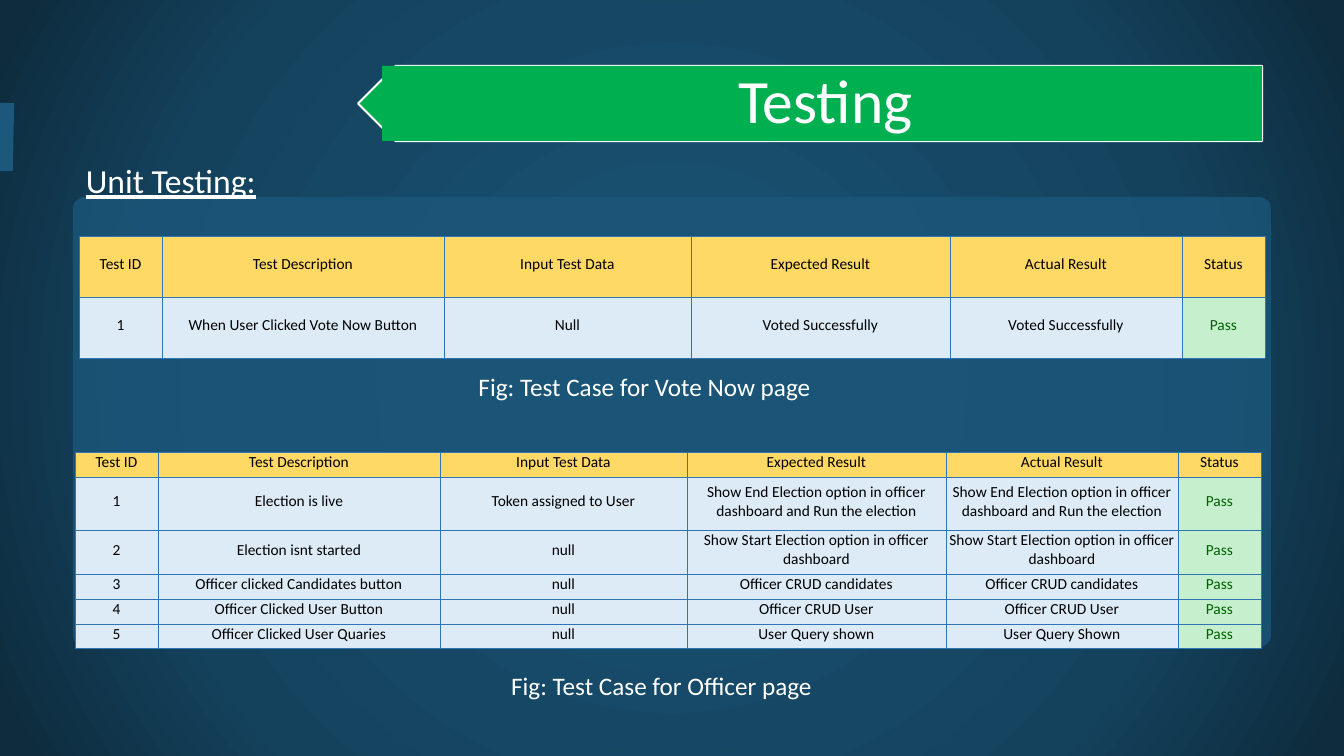
from lxml import etree
from pptx import Presentation, util as u
from pptx.dml.color import RGBColor
from pptx.enum import shapes, text
from pptx.oxml import parse_xml
from pptx.oxml.ns import nsdecls, qn

PX = 914400 / 100.8
WHITE = RGBColor(0xFF, 0xFF, 0xFF)
BLACK = RGBColor(0x00, 0x00, 0x00)
PANEL_BLUE = RGBColor(0x1B, 0x58, 0x7C)
BANNER_GREEN = RGBColor(0x00, 0xB0, 0x50)
HEADER_YELLOW = RGBColor(0xFF, 0xD9, 0x66)
CELL_BLUE = RGBColor(0xDD, 0xEB, 0xF7)
PASS_FILL = RGBColor(0xC6, 0xEF, 0xCE)
PASS_TEXT = RGBColor(0x00, 0x61, 0x00)
BORDER_BLUE = RGBColor(0x2F, 0x75, 0xB5)


def px(*lengths):
    return [u.Emu(round(length * PX)) for length in lengths]


def write(text_frame, words, size, color, align=text.PP_ALIGN.CENTER, underline=None):
    text_frame.text = words
    paragraph = text_frame.paragraphs[0]
    paragraph.alignment = align
    font = paragraph.runs[0].font
    font.name, font.size, font.underline = "Calibri", u.Pt(size), underline
    font.color.rgb = color
    return paragraph


presentation = Presentation()
presentation.slide_width, presentation.slide_height = px(1344, 756)
slide = presentation.slides.add_slide(presentation.slide_layouts[6])

# Background: radial gradient
slide.background.fill.solid()
background = slide._element.find(".//" + qn("p:bgPr"))
stops = "".join(
    f'<a:gs pos="{position}000"><a:srgbClr val="{color}"/></a:gs>'
    for position, color in [(0, "184E6E"), (23, "184E6E"), (69, "14425D"), (97, "0E2C3E")])
background.replace(background[0], parse_xml(
    f'<a:gradFill {nsdecls("a")} rotWithShape="1"><a:gsLst>{stops}</a:gsLst>'
    '<a:path path="circle"><a:fillToRect l="50000" t="50000" r="50000" b="50000"/></a:path>'
    '</a:gradFill>'))

# Translucent panel
panel = slide.shapes.add_shape(shapes.MSO_SHAPE.ROUNDED_RECTANGLE, *px(73, 197, 1198, 450))
panel.adjustments[0] = 0.026
panel.shadow.inherit = False
panel.fill.solid()
panel.fill.fore_color.rgb = PANEL_BLUE
panel.line.fill.background()
panel_color = panel._element.spPr.find(".//" + qn("a:srgbClr"))
etree.SubElement(panel_color, qn("a:alpha")).set("val", "76000")

# Accent mark on the left edge
accent = slide.shapes.add_connector(shapes.MSO_CONNECTOR.STRAIGHT, *px(6, 164, 7, 110))
accent.line.color.rgb = PANEL_BLUE
accent.line.width = u.Pt(10)
accent.line._ln.set("cap", "sq")
etree.SubElement(accent._element.spPr, qn("a:effectLst"))

# Title banner
banner = slide.shapes.add_group_shape()
arrow = banner.shapes.add_shape(shapes.MSO_SHAPE.PENTAGON, *px(358, 66, 904, 75))
arrow.rotation = 180
arrow.line.color.rgb = WHITE
arrow.line.width = u.Pt(1.5)
title = banner.shapes.add_shape(shapes.MSO_SHAPE.RECTANGLE, *px(382, 66, 880, 75))
title.line.fill.background()
for shape in (arrow, title):
    shape.shadow.inherit = False
    shape.fill.solid()
    shape.fill.fore_color.rgb = BANNER_GREEN
frame = title.text_frame
frame.margin_left, frame.margin_top, frame.margin_right, frame.margin_bottom = px(27, 11, 20, 11)
frame.vertical_anchor = text.MSO_ANCHOR.MIDDLE
write(frame, "Testing", 44, WHITE).line_spacing = 0.9

# Heading and captions
LEFT, CENTER = text.PP_ALIGN.LEFT, text.PP_ALIGN.CENTER
for words, box, size, align, underline in [
    ("Unit Testing:", (76, 155, 641, 50), 24, LEFT, True),
    ("Fig: Test Case for Vote Now page", (387, 366, 515, 40), 18, CENTER, None),
    ("Fig: Test Case for Officer page", (404, 665, 515, 40), 18, CENTER, None),
]:
    label = slide.shapes.add_textbox(*px(*box))
    label.text_frame.word_wrap = True
    write(label.text_frame, words, size, WHITE, align, underline)

# Test case tables
HEADERS = ["Test ID", "Test Description", "Input Test Data", "Expected Result",
           "Actual Result", "Status"]
COLUMN_WIDTHS = [83, 282, 247, 259, 232, 83]
END_ELECTION = "Show End Election option in officer dashboard and Run the election"
START_ELECTION = "Show Start Election option in officer dashboard"
VOTE_CASES = [
    ["When User Clicked Vote Now Button", "Null", "Voted Successfully", "Voted Successfully"],
]
OFFICER_CASES = [
    ["Election is live", "Token assigned to User", END_ELECTION, END_ELECTION],
    ["Election isnt started", "null", START_ELECTION, START_ELECTION],
    ["Officer clicked Candidates button", "null", "Officer CRUD candidates",
     "Officer CRUD candidates"],
    ["Officer Clicked User Button", "null", "Officer CRUD User", "Officer CRUD User"],
    ["Officer Clicked User Quaries", "null", "User Query shown", "User Query Shown"],
]
for left, top, row_heights, cases in [
    (79, 236, [61, 61], VOTE_CASES),
    (75, 452, [25, 53, 44, 25, 25, 25], OFFICER_CASES),
]:
    rows = [HEADERS] + [[str(n), *case, "Pass"] for n, case in enumerate(cases, 1)]
    table = slide.shapes.add_table(
        len(rows), len(HEADERS), *px(left, top, sum(COLUMN_WIDTHS), sum(row_heights))).table
    table.horz_banding = table.first_row = False
    for column, width in zip(table.columns, px(*COLUMN_WIDTHS)):
        column.width = width
    for r, (row, height) in enumerate(zip(rows, px(*row_heights))):
        table.rows[r].height = height
        for c, words in enumerate(row):
            cell = table.cell(r, c)
            fill, color = CELL_BLUE, BLACK
            if r == 0:
                fill = HEADER_YELLOW
            elif words == "Pass":
                fill, color = PASS_FILL, PASS_TEXT
            cell.fill.solid()
            cell.fill.fore_color.rgb = fill
            cell.margin_left, cell.margin_top, cell.margin_right, cell.margin_bottom = px(1, 1, 1, 5)
            cell.vertical_anchor = text.MSO_ANCHOR.MIDDLE
            write(cell.text_frame, words, 11, color)
            for i, side in enumerate("LRTB"):
                cell._tc.tcPr.insert(i, parse_xml(
                    f'<a:ln{side} {nsdecls("a")} w="6350"><a:solidFill>'
                    f'<a:srgbClr val="{BORDER_BLUE}"/></a:solidFill></a:ln{side}>'))

presentation.save("out.pptx")
